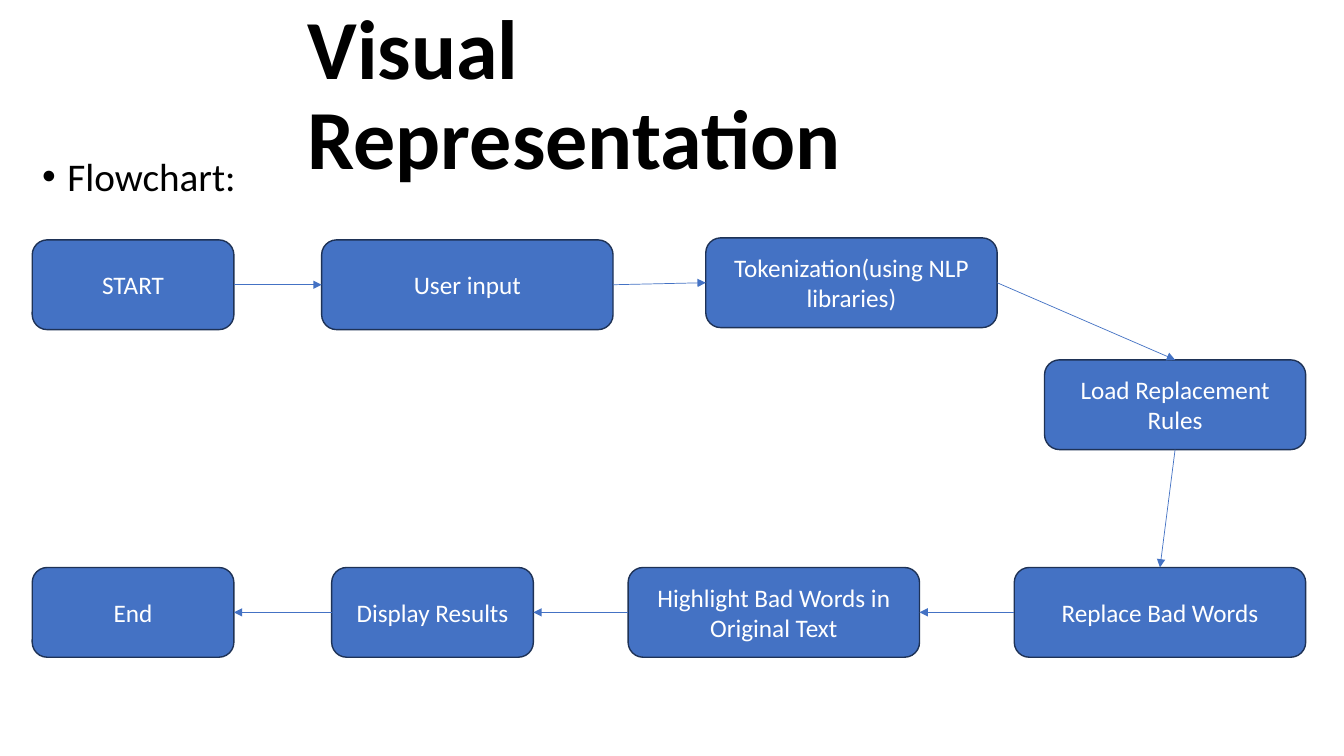
import pptx
import pptx.util
import pptx.dml.color
import pptx.enum.shapes
import pptx.enum.text
import pptx.oxml.ns
import lxml.etree

Inches, Pt = pptx.util.Inches, pptx.util.Pt
Align, Anchor = pptx.enum.text.PP_ALIGN, pptx.enum.text.MSO_ANCHOR
Kind = pptx.enum.shapes.MSO_SHAPE
qn = pptx.oxml.ns.qn

COLORS = {"box": "4472C4", "edge": "1E3256", "text": "000000", "label": "FFFFFF"}
HIGH, TOP, LOW = 0.89, 2.38, 5.63
WIDE, SLIM = 2.89, 2
SITES = {"top": 0, "left": 1, "bottom": 2, "right": 3}


def rgb(name):
    return pptx.dml.color.RGBColor.from_string(COLORS[name])


def write(frame, text, color, font, para):
    """Fill the frame with one paragraph in the given formats."""
    frame.word_wrap = True
    frame.auto_size = pptx.enum.text.MSO_AUTO_SIZE.NONE
    line = frame.paragraphs[0]
    run = line.add_run()
    run.text = text
    run.font.color.rgb = rgb(color)
    for key, value in {"name": "Calibri", **font}.items():
        setattr(run.font, key, value)
    for key, value in para.items():
        setattr(line, key, value)
    return line


deck = pptx.Presentation()
deck.slide_width, deck.slide_height = Inches(13.33), Inches(7.5)
slide = deck.slides.add_slide(deck.slide_layouts[5])
shapes = slide.shapes

# Heading
title = shapes.title
place = {"left": 2.95, "top": 0.24, "width": 7.43, "height": 1.45}
for key, value in place.items():
    setattr(title, key, Inches(value))
title.text_frame.vertical_anchor = Anchor.MIDDLE
write(title.text_frame, "Visual Representation", "text",
      {"size": Pt(60), "bold": True},
      {"alignment": Align.LEFT, "line_spacing": 0.9})

# Bullet
note = shapes.add_textbox(Inches(0.32), Inches(1.51), Inches(2.21), Inches(0.61))
line = write(note.text_frame, "Flowchart:", "text", {"size": Pt(28)},
             {"line_spacing": 0.9, "space_before": Pt(10)})
props = line._p.get_or_add_pPr()
props.set("marL", str(Inches(0.25)))
props.set("indent", str(Inches(-0.25)))
lxml.etree.SubElement(props, qn("a:buFont")).set("typeface", "Arial")
lxml.etree.SubElement(props, qn("a:buChar")).set("char", "•")

# Steps in order of flow: text, left, top, width
steps = [
    ("START", 0.32, TOP, SLIM),
    ("User input", 3.19, TOP, WIDE),
    ("Tokenization(using NLP libraries)", 7, 2.36, WIDE),
    ("Load Replacement Rules", 10.36, 3.57, 2.59),
    ("Replace Bad Words", 10.06, LOW, WIDE),
    ("Highlight Bad Words in Original Text", 6.23, LOW, WIDE),
    ("Display Results", 3.29, LOW, SLIM),
    ("End", 0.32, LOW, SLIM),
]
boxes = []
for text, left, top, width in steps:
    box = shapes.add_shape(Kind.ROUNDED_RECTANGLE, Inches(left), Inches(top),
                           Inches(width), Inches(HIGH))
    box.shadow.inherit = False
    box.fill.solid()
    box.fill.fore_color.rgb = rgb("box")
    box.line.color.rgb = rgb("edge")
    box.line.width = Pt(1)
    box.text_frame.vertical_anchor = Anchor.MIDDLE
    write(box.text_frame, text, "label", {"size": Pt(18)},
          {"alignment": Align.CENTER})
    boxes.append(box)

# Arrows: the side left and the side reached between each pair of steps
sides = [("right", "left")] * 2 + [("right", "top"), ("bottom", "top")]
sides += [("left", "right")] * 3
for start, end, (out, into) in zip(boxes, boxes[1:], sides):
    arrow = shapes.add_connector(pptx.enum.shapes.MSO_CONNECTOR.STRAIGHT, 0, 0, 0, 0)
    arrow.begin_connect(start, SITES[out])
    arrow.end_connect(end, SITES[into])
    arrow.line.color.rgb = rgb("box")
    arrow.line.width = Pt(0.5)
    tail = lxml.etree.SubElement(arrow.line._get_or_add_ln(), qn("a:tailEnd"))
    tail.set("type", "triangle")
    lxml.etree.SubElement(arrow._element.spPr, qn("a:effectLst"))

deck.save("out.pptx")
